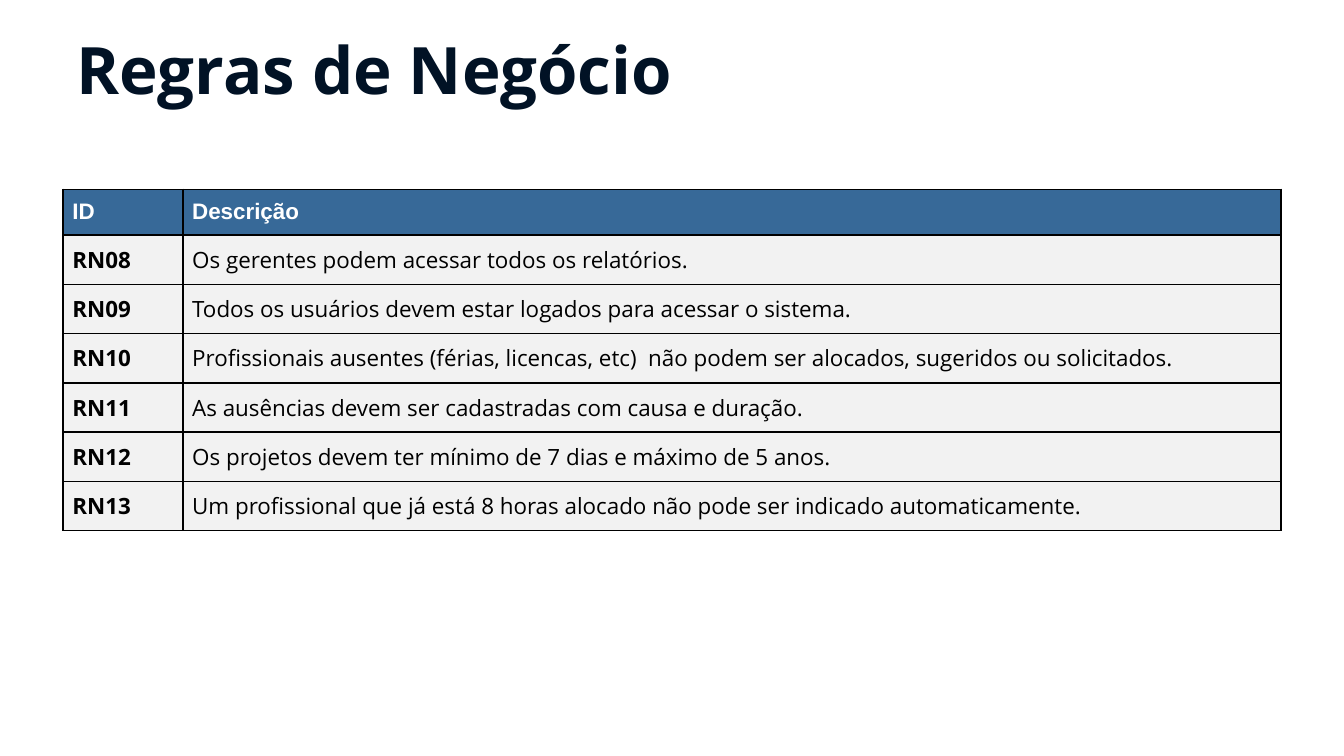
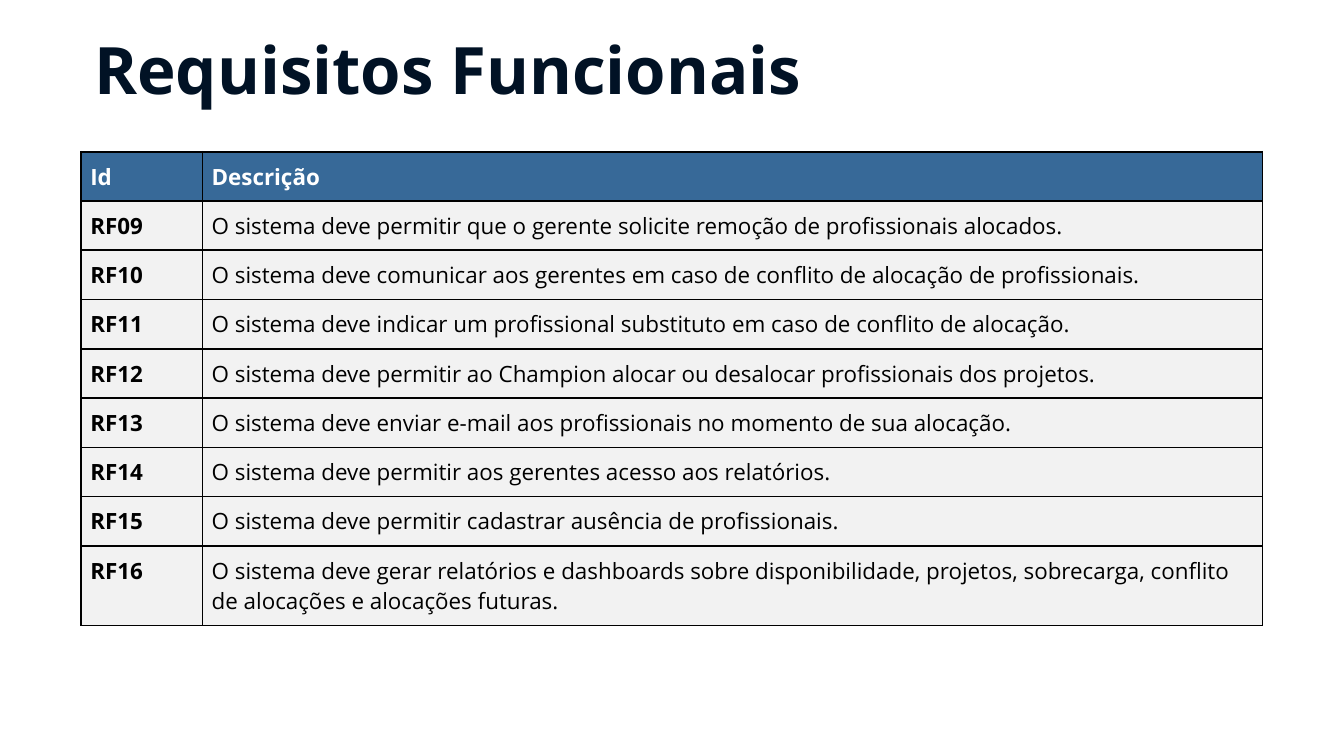
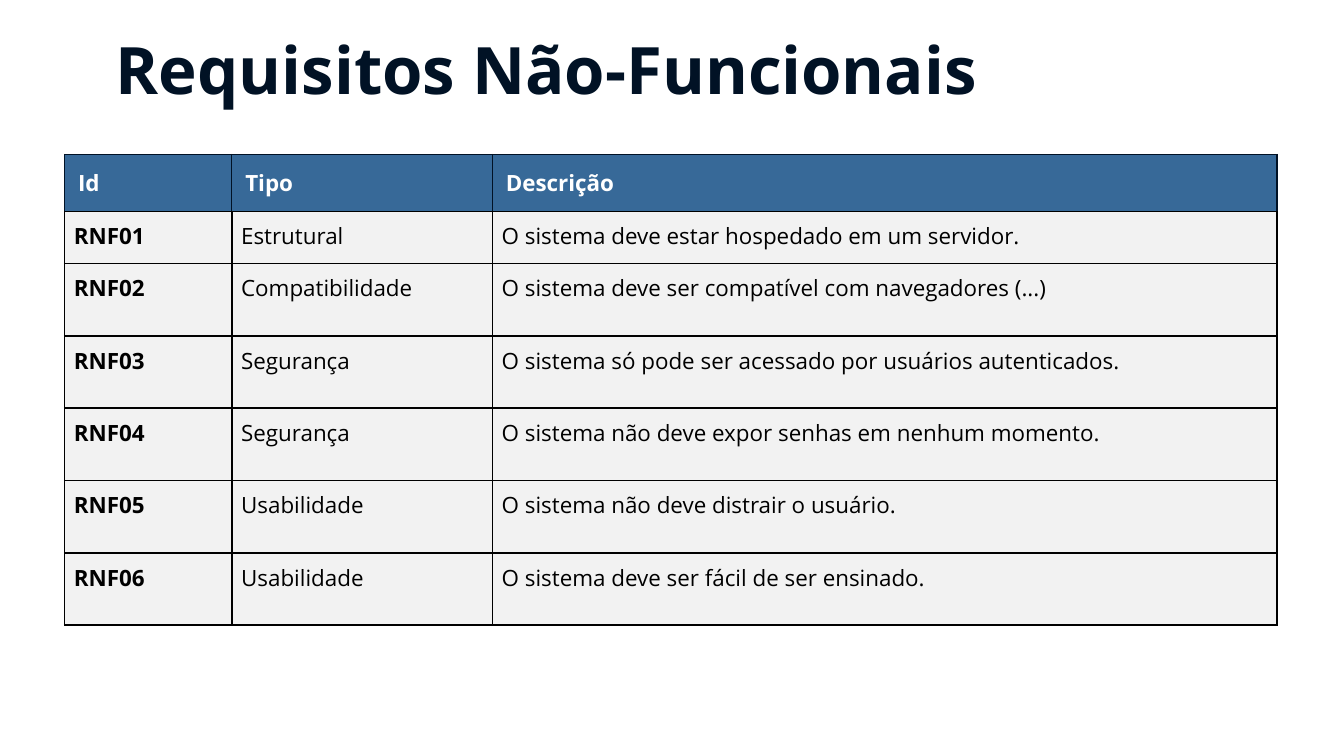
from lxml.etree import SubElement
from pptx import Presentation
from pptx.dml.color import RGBColor
from pptx.enum.text import MSO_ANCHOR
from pptx.oxml.ns import qn
from pptx.util import Pt

COLORS = {
    "navy": "011225",
    "header": "376998",
    "row": "F2F2F2",
    "black": "000000",
    "white": "FFFFFF",
}
FONT = "Open Sans"
ROW_HEIGHT = 26.4


def style_font(font, size, color, bold, name=FONT):
    font.name = name
    font.size = Pt(size)
    font.bold = bold
    font.color.rgb = RGBColor.from_string(COLORS[color])


def add_borders(cell, outline, outline_width):
    properties = cell._tc.get_or_add_tcPr()
    for side in ("lnL", "lnR", "lnT", "lnB"):
        color, width = ("black", 1) if side == "lnB" else (outline, outline_width)
        border = SubElement(properties, qn(f"a:{side}"), w=str(Pt(width)))
        fill = SubElement(border, qn("a:solidFill"))
        SubElement(fill, qn("a:srgbClr"), val=COLORS[color])


sections = [
    {
        "title": "Regras de Negócio",
        "title_left": 33.8,
        "left": 33.8,
        "top": 101.5,
        "columns": [64.2, 588.2],
        "heights": [23.6] + [ROW_HEIGHT] * 6,
        "header_font": "Arial",
        "header_inset": 5,
        "header_border": ("black", 1),
        "rows": [
            ("ID", "Descrição"),
            ("RN08", "Os gerentes podem acessar todos os relatórios."),
            ("RN09", "Todos os usuários devem estar logados para acessar o sistema."),
            ("RN10", "Profissionais ausentes (férias, licencas, etc)  não podem ser alocados, sugeridos ou solicitados."),
            ("RN11", "As ausências devem ser cadastradas com causa e duração."),
            ("RN12", "Os projetos devem ter mínimo de 7 dias e máximo de 5 anos."),
            ("RN13", "Um profissional que já está 8 horas alocado não pode ser indicado automaticamente."),
        ],
    },
    {
        "title": "Requisitos Funcionais",
        "title_left": 43.4,
        "left": 43.4,
        "top": 81.3,
        "columns": [65, 568],
        "heights": [ROW_HEIGHT] * 8 + [42.7],
        "header_font": FONT,
        "header_inset": 5,
        "header_border": ("black", 1),
        "rows": [
            ("Id", "Descrição"),
            ("RF09", "O sistema deve permitir que o gerente solicite remoção de profissionais alocados."),
            ("RF10", "O sistema deve comunicar aos gerentes em caso de conflito de alocação de profissionais."),
            ("RF11", "O sistema deve indicar um profissional substituto em caso de conflito de alocação."),
            ("RF12", "O sistema deve permitir ao Champion alocar ou desalocar profissionais dos projetos."),
            ("RF13", "O sistema deve enviar e-mail aos profissionais no momento de sua alocação."),
            ("RF14", "O sistema deve permitir aos gerentes acesso aos relatórios."),
            ("RF15", "O sistema deve permitir cadastrar ausência de profissionais."),
            ("RF16", "O sistema deve gerar relatórios e dashboards sobre disponibilidade, projetos, sobrecarga, conflito de alocações e alocações futuras."),
        ],
    },
    {
        "title": "Requisitos Não-Funcionais",
        "title_left": 55,
        "left": 34.6,
        "top": 82.8,
        "columns": [89.6, 139.6, 420.4],
        "heights": [30.6, 27.7] + [38.8] * 5,
        "header_font": FONT,
        "header_inset": 7.2,
        "header_border": ("navy", 0.75),
        "rows": [
            ("Id", "Tipo", "Descrição"),
            ("RNF01", "Estrutural", "O sistema deve estar hospedado em um servidor."),
            ("RNF02", "Compatibilidade", "O sistema deve ser compatível com navegadores (...)"),
            ("RNF03", "Segurança", "O sistema só pode ser acessado por usuários autenticados."),
            ("RNF04", "Segurança", "O sistema não deve expor senhas em nenhum momento."),
            ("RNF05", "Usabilidade", "O sistema não deve distrair o usuário."),
            ("RNF06", "Usabilidade", "O sistema deve ser fácil de ser ensinado."),
        ],
    },
]

presentation = Presentation()
presentation.slide_width = Pt(720)
presentation.slide_height = Pt(405)

for section in sections:
    slide = presentation.slides.add_slide(presentation.slide_layouts[6])

    title = slide.shapes.add_textbox(Pt(section["title_left"]), Pt(13.7), Pt(496), Pt(45.4)).text_frame
    title.word_wrap = True
    title.vertical_anchor = MSO_ANCHOR.MIDDLE
    title.margin_left = title.margin_right = title.margin_top = title.margin_bottom = Pt(7.2)
    title.text = section["title"]
    style_font(title.paragraphs[0].runs[0].font, 35, "navy", True)

    rows, columns, heights = section["rows"], section["columns"], section["heights"]
    requirements = slide.shapes.add_table(
        len(rows), len(columns), Pt(section["left"]), Pt(section["top"]), Pt(sum(columns)), Pt(sum(heights))
    ).table
    requirements.horz_banding = False
    for column, width in zip(requirements.columns, columns):
        column.width = Pt(width)

    for row_index, (texts, height) in enumerate(zip(rows, heights)):
        requirements.rows[row_index].height = Pt(height)
        is_header = row_index == 0
        for column_index, text in enumerate(texts):
            cell = requirements.cell(row_index, column_index)
            inset = Pt(section["header_inset"] if is_header else 5)
            cell.margin_left = cell.margin_right = cell.margin_top = cell.margin_bottom = inset
            add_borders(cell, *(section["header_border"] if is_header else ("black", 1)))
            cell.fill.solid()
            cell.fill.fore_color.rgb = RGBColor.from_string(COLORS["header" if is_header else "row"])
            cell.text_frame.text = text
            style_font(
                cell.text_frame.paragraphs[0].runs[0].font,
                12,
                "white" if is_header else "black",
                is_header or column_index == 0,
                section["header_font"] if is_header else FONT,
            )

presentation.save("out.pptx")
